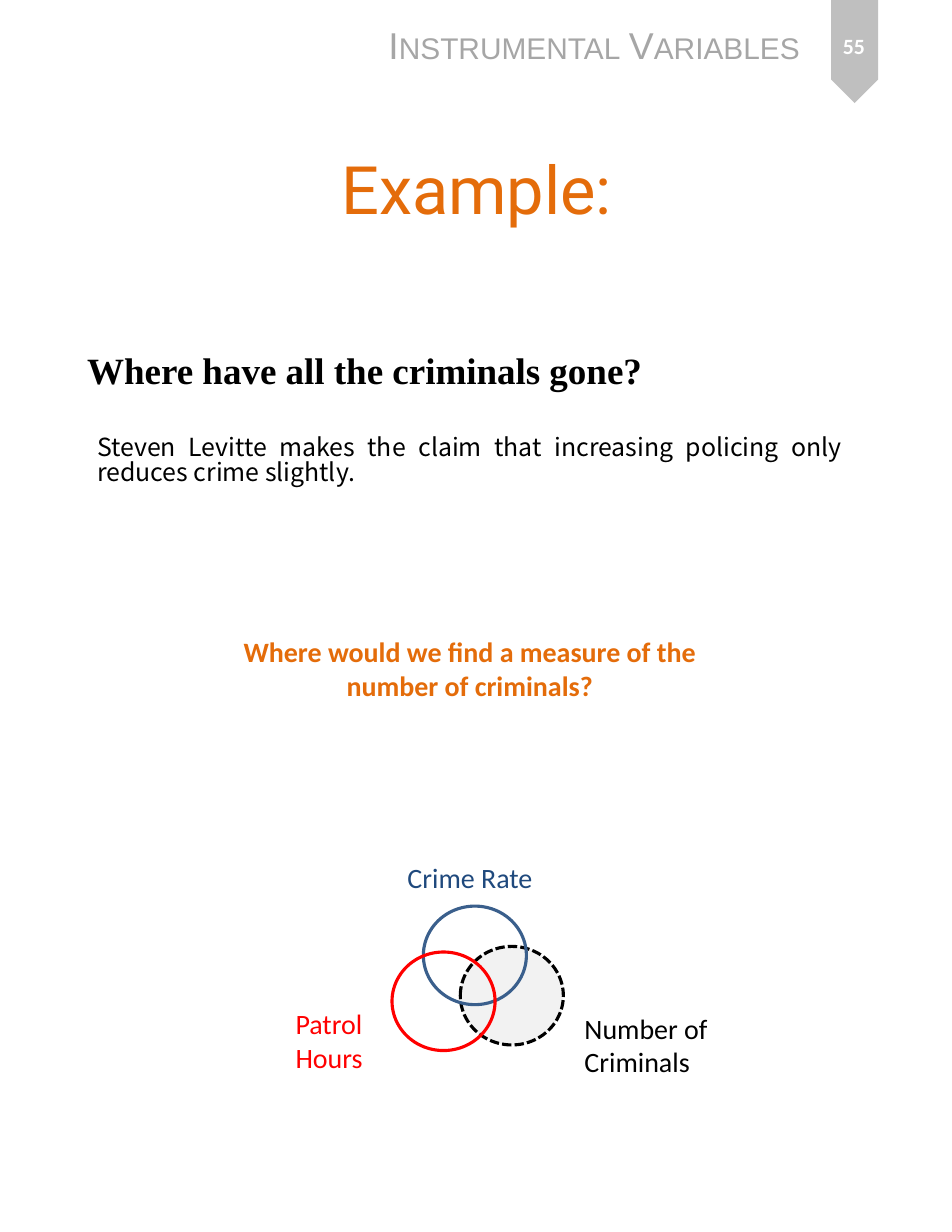
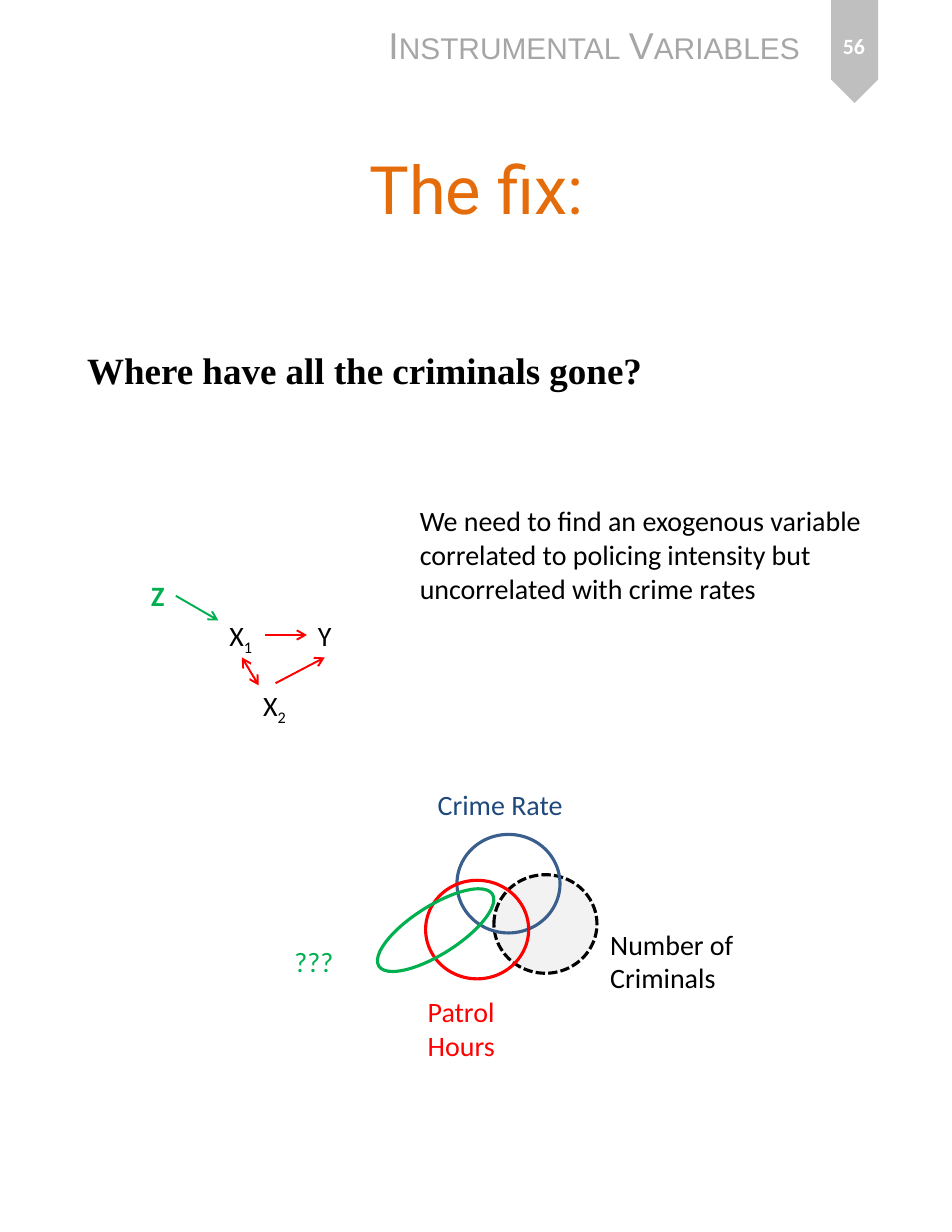
from lxml import etree
from pptx import Presentation
from pptx import util as u
from pptx.dml.color import RGBColor
from pptx.enum import dml, shapes, text
from pptx.oxml.ns import qn

W, H = 8.5, 11
C = {"grey": "A6A6A6", "band": "BFBFBF", "white": "FFFFFF", "black": "000000",
     "orange": "E46C0A", "navy": "1F497D", "blue": "3A5F8C", "red": "FF0000",
     "green": "00B050", "pale": "F2F2F2"}

HEADER = "Instrumental Variables"
QUESTION = "Where have all the criminals gone?"
CLAIM = ("Steven Levitte makes the claim that increasing policing only "
         "reduces crime slightly.")
MEASURE = "Where would we find a measure of the number of criminals?"
FIX = ("We need to find an exogenous variable correlated to policing "
       "intensity but uncorrelated with crime rates")

# Circles of the Venn diagram: offset from its corner, line, fill, dashed
CIRCLE = (0.92, 0.88)
CIRCLES = [(0.61, 0.36, "black", "pale", True),
           (0.28, 0, "blue", None, False),
           (0, 0.41, "red", None, False)]

# Labels: text, colour, width, height
CRIME = ("Crime Rate", "navy", 1.4, 0.4)
PATROL = ("Patrol Hours", "red", 0.82, 0.71)
CRIMINALS = ("Number of\nCriminals", "black", 1.42, 0.71)
UNKNOWN = ("???", "green", 1.14, 0.4)

SLIDES = [
    {"page": 55, "title": "Example:", "venn": (3.5, 8.09),
     "labels": [(3.54, 7.63, CRIME), (2.54, 8.94, PATROL), (5.12, 8.98, CRIMINALS)]},
    {"page": 56, "title": "The fix:", "venn": (3.8, 7.45),
     "labels": [(3.81, 6.98, CRIME), (3.72, 8.83, PATROL), (5.35, 8.23, CRIMINALS),
                (2.53, 8.38, UNKNOWN)]},
]

# Causal graph: letter, subscript, left, top, width, colour
NODES = {"Y": ("Y", "", 2.74, 5.47, 0.32, "black"),
         "X1": ("X", "1", 1.95, 5.47, 0.42, "black"),
         "X2": ("X", "2", 2.25, 6.1, 0.42, "black"),
         "Z": ("Z", "", 1.25, 5.12, 0.32, "green")}
TOP, LEFT, BOTTOM, RIGHT = range(4)
# Arrows: from (node, side), to (node, side) or a free point, colour, two-headed
ARROWS = [(("X1", RIGHT), ("Y", LEFT), "red", False),
          (("X2", TOP), ("Y", BOTTOM), "red", False),
          (("X1", BOTTOM), (2.31, 6.12), "red", True),
          (("Z", RIGHT), (1.95, 5.54), "green", False)]


def rgb(name):
    return RGBColor.from_string(C[name])


def box(*lengths):
    return [u.Inches(v) for v in lengths]


def add_run(p, words, size, color, font, bold=False):
    r = p.add_run()
    r.text = words
    r.font.size, r.font.name, r.font.bold = u.Pt(size), font, bold
    r.font.color.rgb = rgb(color)
    return r


def add_text(s, at, words, size=18, color="black", font="Calibri", bold=False,
             align="LEFT", anchor="TOP", wrap=True):
    """Add a text box of one paragraph; a newline in words is a line break."""
    sp = s.shapes.add_textbox(*box(*at))
    tf = sp.text_frame
    tf.word_wrap = wrap
    tf.vertical_anchor = text.MSO_ANCHOR[anchor]
    p = tf.paragraphs[0]
    p.alignment = text.PP_ALIGN[align]
    for i, line in enumerate(words.split("\n")):
        if i:
            p.add_line_break()
        add_run(p, line, size, color, font, bold)
    return sp


def add_shape(s, kind, at, fill=None, line=None, dashed=False, turn=0):
    sp = s.shapes.add_shape(shapes.MSO_SHAPE[kind], *box(*at))
    sp.shadow.inherit = False
    sp.rotation = turn
    if fill:
        sp.fill.solid()
        sp.fill.fore_color.rgb = rgb(fill)
    else:
        sp.fill.background()
    if line:
        sp.line.color.rgb = rgb(line)
        sp.line.width = u.Pt(2)
        if dashed:
            sp.line.dash_style = dml.MSO_LINE.SQUARE_DOT
    else:
        sp.line.fill.background()


def add_arrow(s, nodes, start, end, color, double):
    cx = s.shapes.add_connector(shapes.MSO_CONNECTOR.STRAIGHT, 0, 0, 0, 0)
    if end[0] in nodes:
        cx.end_connect(nodes[end[0]], end[1])
    else:
        cx.end_x, cx.end_y = box(*end)
    cx.begin_connect(nodes[start[0]], start[1])
    cx.line.color.rgb = rgb(color)
    cx.line.width = u.Pt(1.25)
    ln = cx.line._get_or_add_ln()
    for tag in ["a:headEnd"] * double + ["a:tailEnd"]:
        etree.SubElement(ln, qn(tag), type="arrow")
    etree.SubElement(cx._element.spPr, qn("a:effectLst"))


def add_frame(s, page, title):
    """Draw what every slide shares: header, page marker, title, question."""
    add_shape(s, "PENTAGON", (7.17, 0.25, 0.92, 0.42), "band", turn=90)
    sp = add_text(s, (3.37, 0.15, 3.89, 0.5), HEADER, 24, "grey", "Arial", wrap=False)
    sp.text_frame.paragraphs[0].runs[0].font._element.set("cap", "small")
    add_text(s, (7.29, 0.11, 0.67, 0.59), str(page), 14, "white", bold=True,
             align="CENTER", anchor="MIDDLE")
    add_text(s, (0.68, 1.96, 7.21, 1.59), QUESTION, 23.8, font="Times New Roman",
             bold=True, anchor="BOTTOM")
    add_text(s, (0.43, 1.27, 7.65, 1.83), title, 42.9, "orange", "Roboto",
             align="CENTER")


def add_venn(s, corner, labels):
    x, y = corner
    for dx, dy, line, fill, dashed in CIRCLES:
        add_shape(s, "OVAL", (x + dx, y + dy, *CIRCLE), fill, line, dashed)
    for left, top, (words, color, width, height) in labels:
        add_text(s, (left, top, width, height), words, color=color)


def add_graph(s):
    nodes = {}
    for key, (letter, sub, x, y, width, color) in NODES.items():
        sp = add_text(s, (x, y, width, 0.4), letter, color=color,
                      bold=key == "Z", wrap=False)
        if sub:
            r = add_run(sp.text_frame.paragraphs[0], sub, 18, color, "Calibri")
            r.font._element.set("baseline", "-25000")
        nodes[key] = sp
    for arrow in ARROWS:
        add_arrow(s, nodes, *arrow)


def main():
    prs = Presentation()
    prs.slide_width, prs.slide_height = box(W, H)
    example, fix = [prs.slides.add_slide(prs.slide_layouts[6]) for _ in SLIDES]
    for s, data in zip((example, fix), SLIDES):
        add_frame(s, data["page"], data["title"])
        add_venn(s, data["venn"], data["labels"])

    sp = add_text(example, (0.77, 3.09, 6.85, 2.06), CLAIM, 16,
                  font="Noto Sans CJK KR", align="JUSTIFY", anchor="MIDDLE")
    sp.text_frame.paragraphs[0].line_spacing = 0.83
    add_text(example, (1.99, 5.62, 4.41, 0.71), MEASURE, color="orange", bold=True,
             align="CENTER")

    add_shape(fix, "OVAL", (3.29, 8.09, 1.2, 0.43), line="green", turn=327.6)
    add_graph(fix)
    add_text(fix, (3.65, 4.45, 4.24, 1.01), FIX)
    prs.save("out.pptx")


if __name__ == "__main__":
    main()
